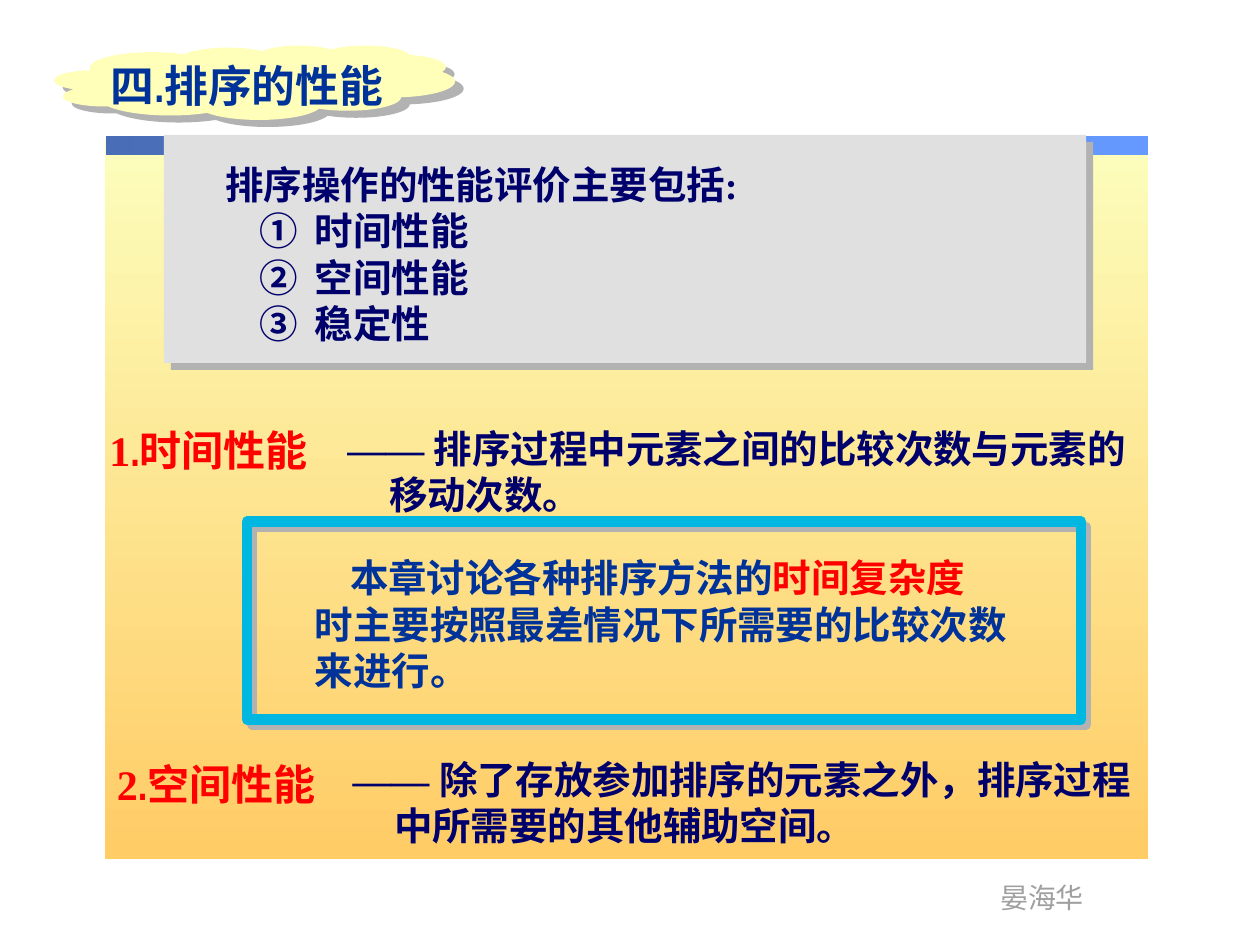
"""Build the slide on how the performance of sorting is judged."""
from dataclasses import dataclass

import lxml.etree
import pptx
import pptx.dml.color
import pptx.enum.shapes
import pptx.enum.text
import pptx.oxml.ns
import pptx.util

EMU_PER_PX = 9144
qn = pptx.oxml.ns.qn
SHAPES = pptx.enum.shapes.MSO_SHAPE


@dataclass(frozen=True)
class Theme:
    navy: str = "00006C"
    blue: str = "003399"
    red: str = "FF0000"
    footer_gray: str = "9F9F9F"
    shadow: str = "B2B2B2"
    cloud: str = "FFFFB9"
    panel: str = "E0E0E0"
    frame: str = "00B7E2"
    backdrop: tuple = ("FCFEBC", "FFCC66")
    bar: tuple = ("496DB6", "6699FF")
    title_size: int = 25
    heading_size: int = 24
    body_size: int = 22
    footer_size: int = 16
    narrow: str = "Arial Narrow"
    serif: str = "Times New Roman"
    sans: str = "Noto Sans CJK SC"


def px(length):
    return pptx.util.Emu(length * EMU_PER_PX)


def rgb(color):
    return pptx.dml.color.RGBColor.from_string(color)


class SlideBuilder:
    def __init__(self, theme, slide):
        self.theme = theme
        self.slide = slide

    def shape(self, kind, box, fill=None):
        shape = self.slide.shapes.add_shape(kind, *map(px, box))
        shape.shadow.inherit = False
        shape.line.fill.background()
        if fill:
            shape.fill.solid()
            shape.fill.fore_color.rgb = rgb(fill)
        else:
            shape.fill.background()
        return shape

    def gradient(self, box, colors, angle):
        band = self.shape(SHAPES.RECTANGLE, box)
        band.fill.gradient()
        band.fill.gradient_angle = angle
        for stop, color in zip(band.fill.gradient_stops, colors):
            stop.color.rgb = rgb(color)

    def shadow(self, shape, distance, angle):
        effects = shape._element.spPr.find(qn("a:effectLst"))
        outer = lxml.etree.SubElement(
            effects, qn("a:outerShdw"), dist=str(pptx.util.Pt(distance)),
            dir=str(angle * 60000), algn="ctr", rotWithShape="0")
        lxml.etree.SubElement(outer, qn("a:srgbClr"), val=self.theme.shadow)

    def frame(self, box, color, width):
        frame = self.shape(SHAPES.RECTANGLE, box)
        frame.line.color.rgb = rgb(color)
        frame.line.width = pptx.util.Pt(width)
        return frame

    def text(self, box, lines, size, color, bold=True, wrap=True):
        """Each line is (left margin, first-line indent, runs of (text, font[, color]))."""
        frame = self.slide.shapes.add_textbox(*map(px, box)).text_frame
        frame.word_wrap = wrap
        frame.auto_size = pptx.enum.text.MSO_AUTO_SIZE.SHAPE_TO_FIT_TEXT
        frame.margin_top, frame.margin_bottom = px(9), px(1)
        for index, (margin, indent, runs) in enumerate(lines):
            paragraph = frame.add_paragraph() if index else frame.paragraphs[0]
            paragraph.line_spacing = pptx.util.Pt(round(size * 1.2, 1))
            properties = paragraph._p.get_or_add_pPr()
            properties.set("marL", str(px(margin)))
            properties.set("indent", str(px(indent)))
            for words, font, *accent in runs:
                self.run(paragraph, words, font, size, *(accent or [color]), bold)

    def run(self, paragraph, words, font, size, color, bold):
        run = paragraph.add_run()
        run.text = words
        run.font.size = pptx.util.Pt(size)
        run.font.bold = bold
        run.font.color.rgb = rgb(color)
        run.font.name = font
        east_asian = font if words.startswith("—") else self.theme.sans
        latin = run.font._element.find(qn("a:latin"))
        latin.addnext(latin.makeelement(qn("a:ea"), {"typeface": east_asian}))

    def criterion(self, number, name, heading_at, definition_at, definition):
        theme = self.theme
        self.text((*heading_at, 228, 50),
                  [(0, 0, [(number, theme.serif), ("." + name, theme.narrow)])],
                  theme.heading_size, theme.red)
        opening, rest = definition
        self.text((*definition_at, 653, 83),
                  [(0, 0, [("—— ", theme.serif), (opening, theme.sans)]),
                   (33, 0, [(rest, theme.sans)])],
                  theme.body_size, theme.navy)


def main():
    theme = Theme()
    deck = pptx.Presentation()
    deck.slide_width, deck.slide_height = px(1000), px(750)
    page = SlideBuilder(theme, deck.slides.add_slide(deck.slide_layouts[6]))

    page.gradient((83, 110, 828, 572), theme.backdrop, 270)
    page.gradient((84, 108, 827, 15), theme.bar, 0)
    page.text((784, 690, 87, 37), [(0, 0, [("晏海华", theme.narrow)])],
              theme.footer_size, theme.footer_gray, bold=False, wrap=False)

    cloud = page.shape(SHAPES.CLOUD, (43, 36, 318, 59), theme.cloud)
    page.shadow(cloud, 6.4, 39)
    page.text((78, 38, 329, 52), [(0, 0, [("四.排序的性能", theme.narrow)])],
              theme.title_size, theme.blue)

    panel = page.shape(SHAPES.RECTANGLE, (130, 107, 732, 181), theme.panel)
    page.shadow(panel, 5.7, 45)
    aspects = [("①", "时间性能"), ("②", "空间性能"), ("③", "稳定性")]
    page.text((169, 119, 551, 157),
              [(0, 0, [("排序操作的性能评价主要包括:", theme.serif)])]
              + [(71, -44, [(mark + "\t", theme.sans), (aspect, theme.serif)])
                 for mark, aspect in aspects],
              theme.body_size, theme.navy)

    page.criterion("1", "时间性能", (77, 328), (266, 328),
                   ("排序过程中元素之间的比较次数与元素的", "移动次数。"))

    page.text((240, 431, 661, 120),
              [(0, 28, [("本章讨论各种排序方法的", theme.sans),
                        ("时间复杂度", theme.narrow, theme.red)]),
               (0, 0, [("时主要按照最差情况下所需要的比较次数", theme.sans)]),
               (0, 0, [("来进行。", theme.sans)])],
              theme.body_size, theme.blue)
    scope = page.frame((196, 414, 662, 157), theme.frame, 6)
    page.shadow(scope, 4.2, 45)

    page.criterion("2", "空间性能", (83, 593), (270, 591),
                   ("除了存放参加排序的元素之外，排序过程", "中所需要的其他辅助空间。"))
    deck.save("out.pptx")


if __name__ == "__main__":
    main()
